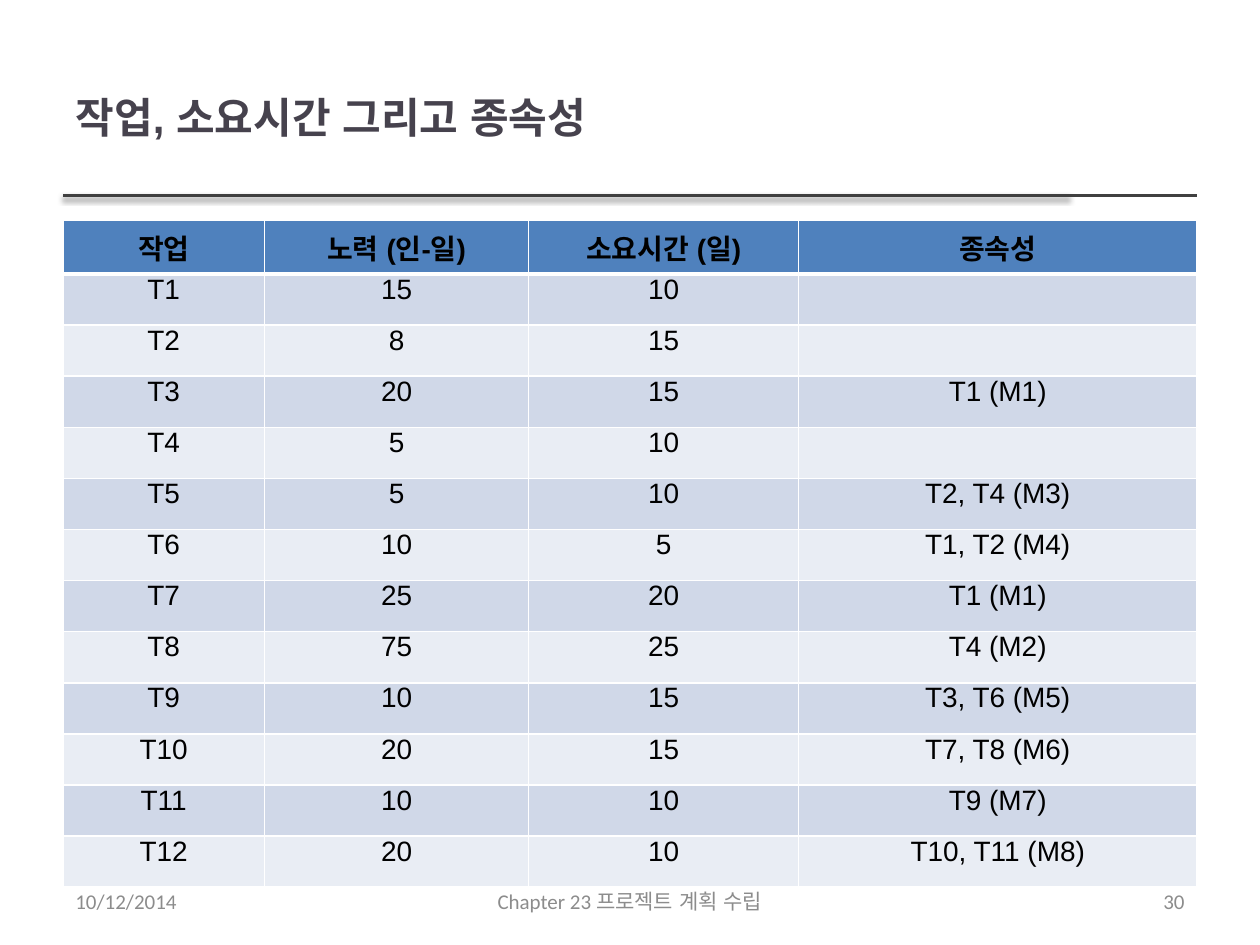
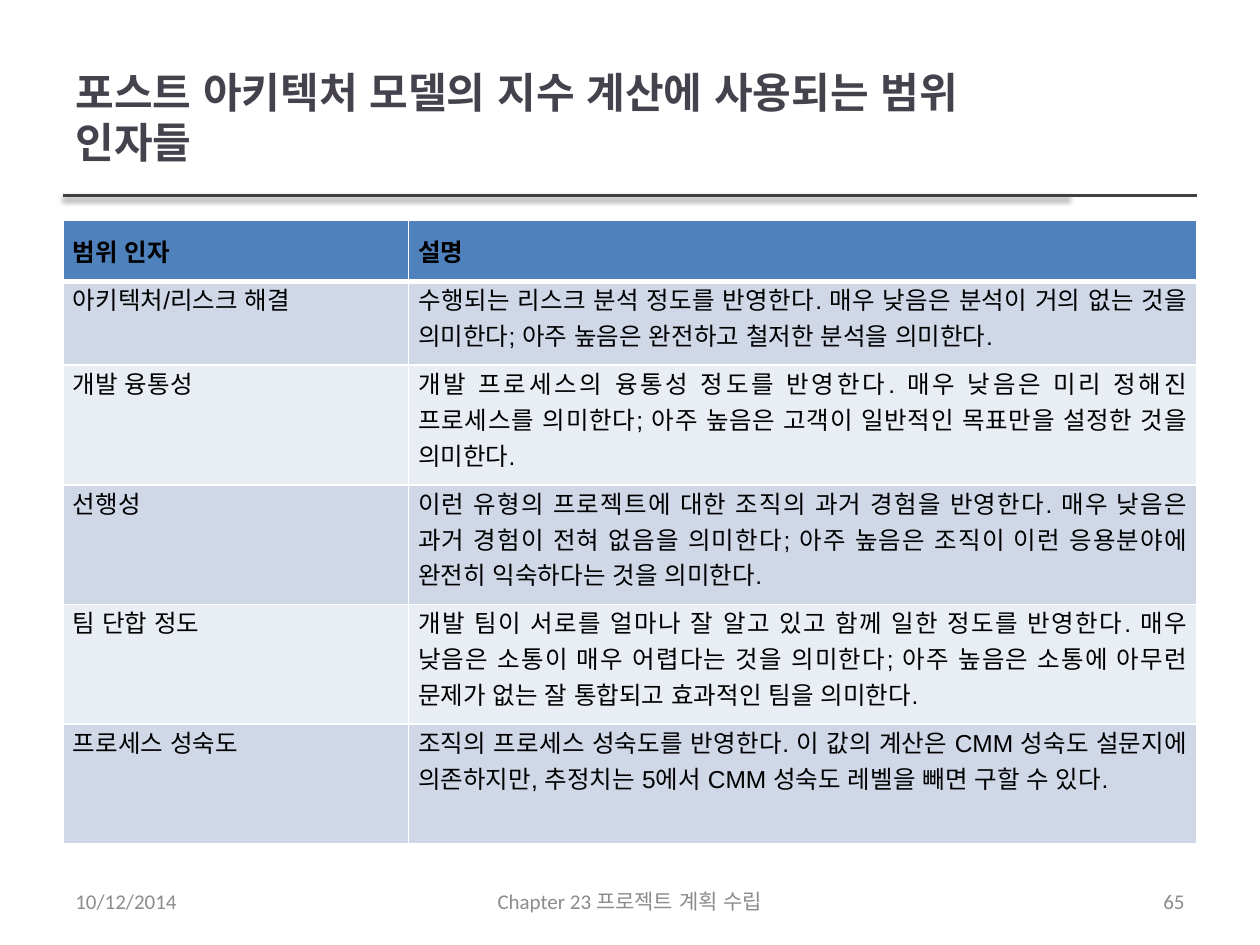
from lxml import etree
from pptx import Presentation
from pptx.dml.color import RGBColor
from pptx.enum.lang import MSO_LANGUAGE_ID
from pptx.enum.shapes import MSO_CONNECTOR
from pptx.enum.text import MSO_ANCHOR, MSO_AUTO_SIZE, PP_ALIGN
from pptx.oxml.ns import qn
from pptx.util import Cm, Pt

KOREAN = MSO_LANGUAGE_ID.KOREAN
STRAIGHT = MSO_CONNECTOR.STRAIGHT
MIDDLE, TOP = MSO_ANCHOR.MIDDLE, MSO_ANCHOR.TOP
NO_FIT = MSO_AUTO_SIZE.NONE
LEFT, CENTER, RIGHT, JUSTIFY = (
    PP_ALIGN.LEFT, PP_ALIGN.CENTER, PP_ALIGN.RIGHT, PP_ALIGN.JUSTIFY)

INK = RGBColor(0x46, 0x42, 0x4D)
RULE = RGBColor(0x40, 0x40, 0x40)
GREY = RGBColor(0x8C, 0x8C, 0x8C)
BLACK = RGBColor(0, 0, 0)
WHITE = RGBColor(0xFF, 0xFF, 0xFF)
HEADER = RGBColor(0x4F, 0x81, 0xBD)
BANDS = RGBColor(0xD0, 0xD8, 0xE8), RGBColor(0xE9, 0xED, 0xF4)

MARGIN = 1.27
WIDTH = 22.86
TITLE_BOX = MARGIN, 0.76, 20.27, 3.18
TABLE_BOX = MARGIN, 4.45, WIDTH
FOOTER_BOX = MARGIN, 17.65, WIDTH, 1.02

TASKS = [
    ("작업", "노력 (인-일)", "소요시간 (일)", "종속성"),
    ("T1", "15", "10", ""),
    ("T2", "8", "15", ""),
    ("T3", "20", "15", "T1 (M1)"),
    ("T4", "5", "10", ""),
    ("T5", "5", "10", "T2, T4 (M3)"),
    ("T6", "10", "5", "T1, T2 (M4)"),
    ("T7", "25", "20", "T1 (M1)"),
    ("T8", "75", "25", "T4 (M2)"),
    ("T9", "10", "15", "T3, T6 (M5)"),
    ("T10", "20", "15", "T7, T8 (M6)"),
    ("T11", "10", "10", "T9 (M7)"),
    ("T12", "20", "10", "T10, T11 (M8)"),
]
SCALE_FACTORS = [
    ("범위 인자", "설명"),
    ("아키텍처/리스크 해결",
     "수행되는 리스크 분석 정도를 반영한다. 매우 낮음은 분석이 거의 없는 것을 "
     "의미한다; 아주 높음은 완전하고 철저한 분석을 의미한다."),
    ("개발 융통성",
     "개발 프로세스의 융통성 정도를 반영한다. 매우 낮음은 미리 정해진 프로세스를 "
     "의미한다; 아주 높음은 고객이 일반적인 목표만을 설정한 것을 의미한다."),
    ("선행성",
     "이런 유형의 프로젝트에 대한 조직의 과거 경험을 반영한다. 매우 낮음은 과거 경험이 "
     "전혀 없음을 의미한다; 아주 높음은 조직이 이런 응용분야에 완전히 익숙하다는 것을 "
     "의미한다."),
    ("팀 단합 정도",
     "개발 팀이 서로를 얼마나 잘 알고 있고 함께 일한 정도를 반영한다. 매우 낮음은 소통이 "
     "매우 어렵다는 것을 의미한다; 아주 높음은 소통에 아무런 문제가 없는 잘 통합되고 "
     "효과적인 팀을 의미한다."),
    ("프로세스 성숙도",
     "조직의 프로세스 성숙도를 반영한다. 이 값의 계산은 CMM 성숙도 설문지에 의존하지만, "
     "추정치는 5에서 CMM 성숙도 레벨을 빼면 구할 수 있다."),
]


def write(tf, text, size, color, font="Arial", bold=False, align=LEFT, anchor=MIDDLE):
    """Put one formatted paragraph into a text frame."""
    tf.word_wrap = True
    tf.vertical_anchor = anchor
    p = tf.paragraphs[0]
    p.alignment = align
    p.font.size = Pt(size)
    if text:
        r = p.add_run()
        r.text = text
        f = r.font
        f.size, f.name, f.bold = Pt(size), font, bold
        f.color.rgb = color
        f.language_id = KOREAN


def add_rule(s, x, y, width, shadow):
    """Draw a horizontal rule, with a soft shadow below it if asked."""
    line = s.shapes.add_connector(STRAIGHT, Cm(x), Cm(y), Cm(x + width), Cm(y))
    line.line.color.rgb = RULE
    line.line.width = Pt(2)
    effects = etree.SubElement(line._element.spPr, qn("a:effectLst"))
    if shadow:
        outer = etree.SubElement(
            effects, qn("a:outerShdw"), blurRad=str(Pt(3.1)), dist=str(Pt(1.6)),
            dir="5400000", algn="ctr", rotWithShape="0")
        tone = etree.SubElement(outer, qn("a:srgbClr"), val=str(BLACK))
        etree.SubElement(tone, qn("a:alpha"), val="38000")


def add_title(s, text, box):
    """Place the title and the double rule along the bottom of its box."""
    x, y, w, h = box
    title = s.shapes.title
    title.left, title.top, title.width, title.height = map(Cm, box)
    title.text_frame.auto_size = NO_FIT
    write(title.text_frame, text, 24, INK, bold=True)
    add_rule(s, x, y + h, w, True)
    add_rule(s, x, y + h, WIDTH, False)


def add_footer(s, number, box):
    """Place date, chapter and page number in a row."""
    x, y, w, h = box
    side, middle = 5.92, 8.04
    parts = [("10/12/2014", 0, side, LEFT),
             ("Chapter 23 프로젝트 계획 수립", (w - middle) / 2, middle, CENTER),
             (str(number), w - side, side, RIGHT)]
    for text, dx, width, align in parts:
        tb = s.shapes.add_textbox(Cm(x + dx), Cm(y), Cm(width), Cm(h))
        write(tb.text_frame, text, 12, GREY, font="Calibri", align=align)


def set_borders(cell, top, bottom):
    """Give a cell white borders of the given top and bottom widths."""
    for side, width in (("L", 1), ("R", 1), ("T", top), ("B", bottom)):
        ln = etree.SubElement(cell._tc.get_or_add_tcPr(), qn("a:ln" + side),
                              w=str(Pt(width)))
        fill = etree.SubElement(ln, qn("a:solidFill"))
        etree.SubElement(fill, qn("a:srgbClr"), val=str(WHITE))


def add_banded_table(s, rows, box, columns, heights, size, align, side, pad):
    """Build a table with a blue header row and banded body rows."""
    x, y, w = box
    table = s.shapes.add_table(len(rows), len(columns), Cm(x), Cm(y), Cm(w),
                               Cm(sum(heights))).table
    for column, width in zip(table.columns, columns):
        column.width = Cm(width)
    for i, (row, height) in enumerate(zip(rows, heights)):
        table.rows[i].height = Cm(height)
        head = i == 0
        for j, text in enumerate(row):
            cell = table.cell(i, j)
            cell.margin_left = cell.margin_right = Cm(side)
            cell.margin_top = Cm(pad if head else 0)
            cell.margin_bottom = Cm(pad)
            set_borders(cell, 3 if i == 1 else 1, 3 if head else 1)
            cell.fill.solid()
            cell.fill.fore_color.rgb = HEADER if head else BANDS[(i - 1) % 2]
            write(cell.text_frame, text, size, BLACK, bold=head, align=align, anchor=TOP)
            cell.vertical_anchor = TOP


def add_table_slide(prs, title, number, rows, **table_format):
    """Add a slide with title, table and footer."""
    s = prs.slides.add_slide(prs.slide_layouts[5])
    add_title(s, title, TITLE_BOX)
    add_banded_table(s, rows, TABLE_BOX, **table_format)
    add_footer(s, number, FOOTER_BOX)


def main():
    """Build and save both slides."""
    prs = Presentation()
    prs.slide_width, prs.slide_height = Cm(25.4), Cm(19.05)
    add_table_slide(
        prs, "작업, 소요시간 그리고 종속성", 30, TASKS,
        columns=[4.06, 5.33, 5.44, 8.03], heights=[1.03] * len(TASKS),
        size=16, align=CENTER, side=0.15, pad=0.13)
    add_table_slide(
        prs, "포스트 아키텍처 모델의 지수 계산에 사용되는 범위 인자들", 65, SCALE_FACTORS,
        columns=[6.96, 15.9], heights=[1.2, 1.67] + [2.41] * 4,
        size=14, align=JUSTIFY, side=0.2, pad=0.25)
    prs.save("out.pptx")


if __name__ == "__main__":
    main()
